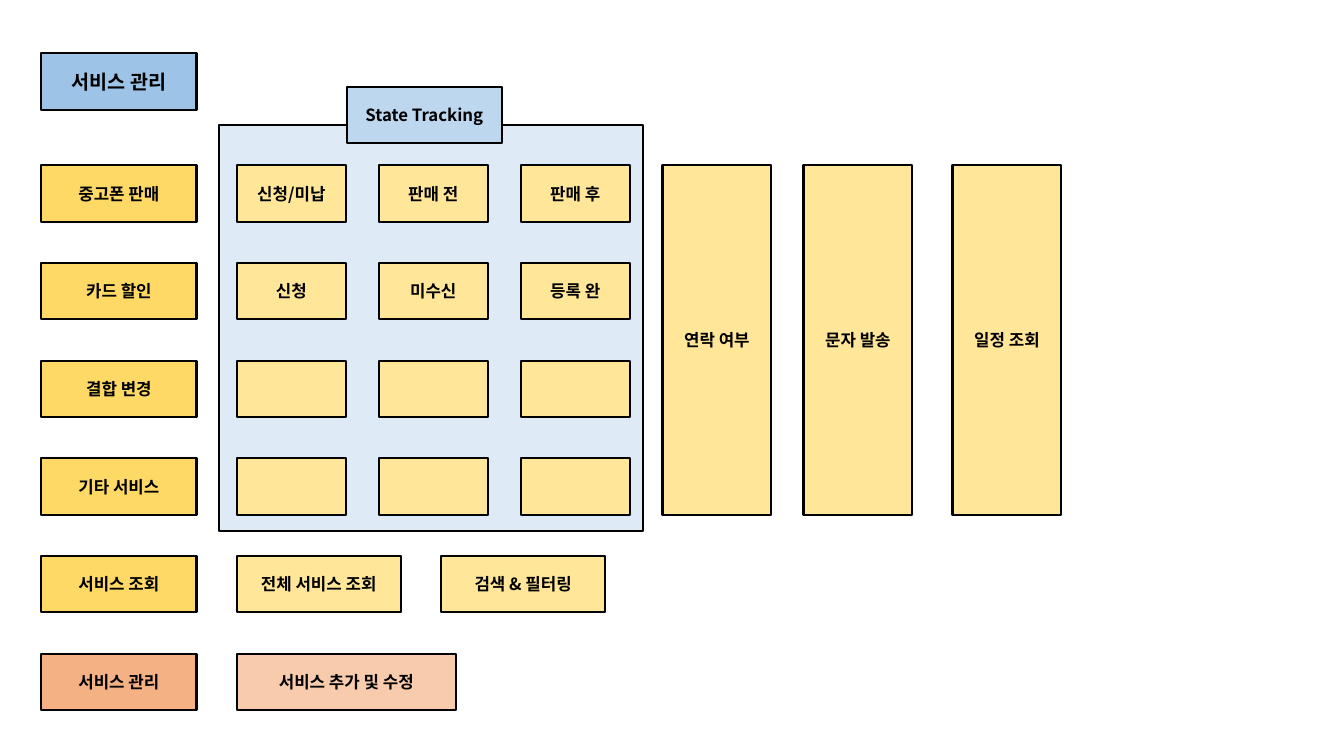
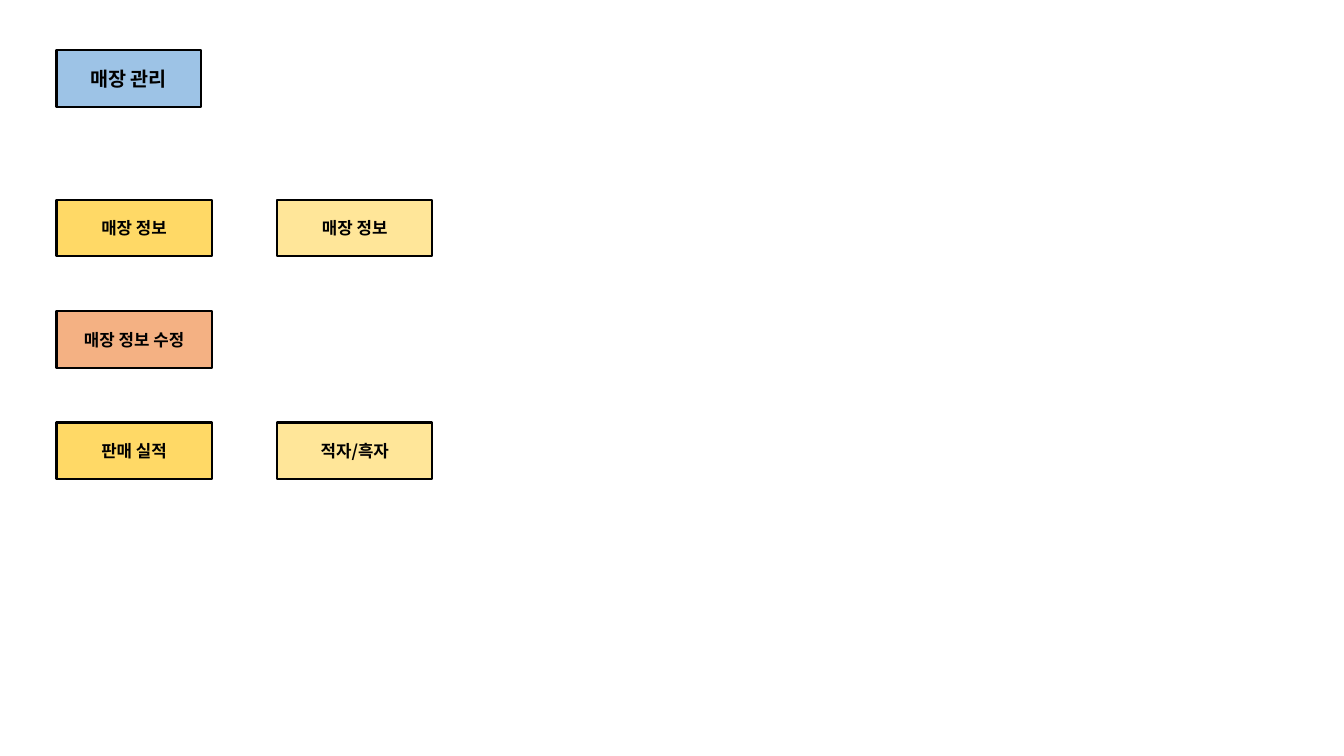
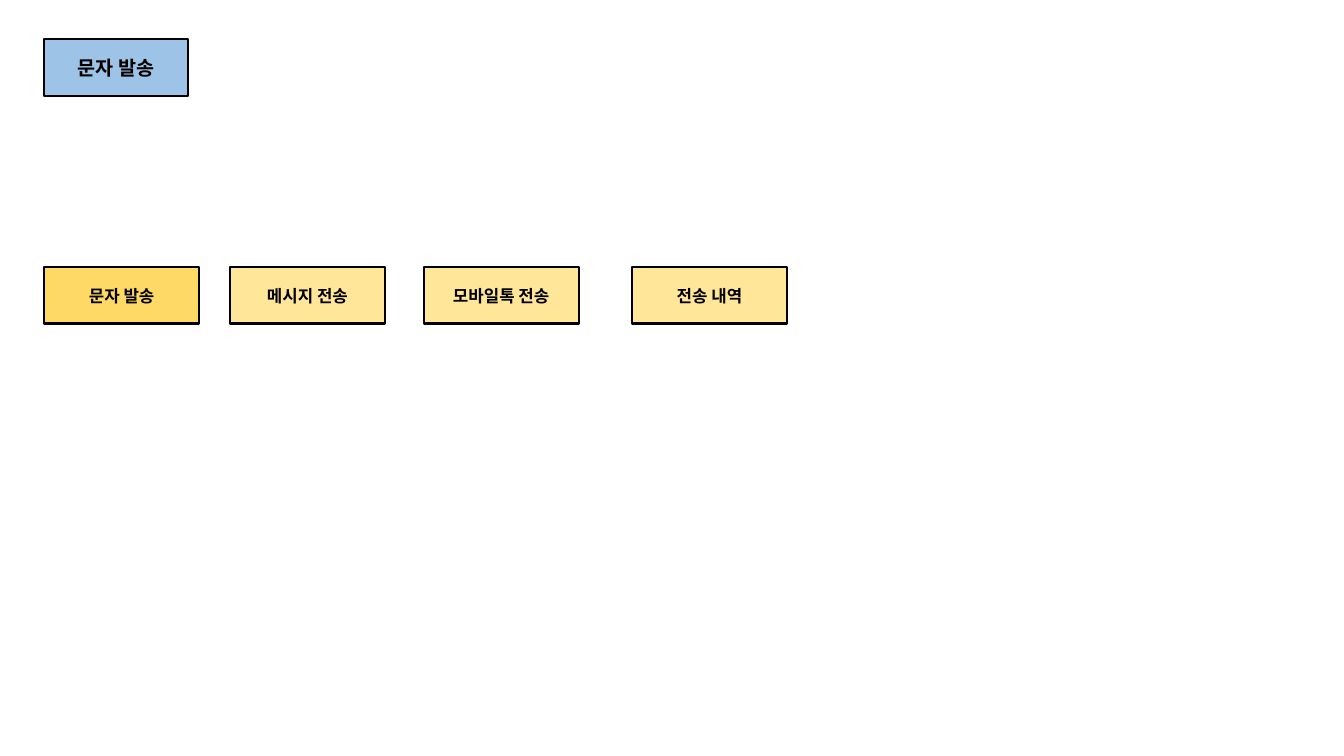
from pptx import Presentation
from pptx.dml.color import RGBColor
from pptx.enum.shapes import MSO_SHAPE as Shape
from pptx.enum.text import MSO_ANCHOR as Anchor, PP_ALIGN as Align
from pptx.oxml.ns import qn
from pptx.util import Pt
from lxml.etree import SubElement

FONT = "Noto Sans CJK KR"
BLACK = RGBColor(0x00, 0x00, 0x00)
TITLE_BLUE = RGBColor(0x9D, 0xC3, 0xE6)
LABEL_BLUE = RGBColor(0xBD, 0xD7, 0xEE)
PANEL_BLUE = RGBColor(0xDE, 0xEB, 0xF7)
MENU_YELLOW = RGBColor(0xFF, 0xD9, 0x66)
ITEM_YELLOW = RGBColor(0xFF, 0xE6, 0x99)
MENU_ORANGE = RGBColor(0xF4, 0xB1, 0x83)
ITEM_ORANGE = RGBColor(0xF8, 0xCB, 0xAD)

BOX_WIDTH = 110.9
BOX_HEIGHT = 40.3
TITLE_WIDTH = 103

deck = Presentation()
deck.slide_width = Pt(960)
deck.slide_height = Pt(540)
blank = deck.slide_layouts[6]


def add_box(page, text, left, top, fill, width=BOX_WIDTH, height=BOX_HEIGHT, size=12):
    box = page.shapes.add_shape(Shape.RECTANGLE, Pt(left), Pt(top), Pt(width), Pt(height))
    box.shadow.inherit = False
    box.fill.solid()
    box.fill.fore_color.rgb = fill
    box.line.color.rgb = BLACK
    box.line.width = Pt(1.5)
    if text:
        box.text_frame.text = text
        box.text_frame.word_wrap = True
        box.text_frame.vertical_anchor = Anchor.MIDDLE
        para = box.text_frame.paragraphs[0]
        para.alignment = Align.CENTER
        span = para.runs[0]
        span.font.name = FONT
        span.font.size = Pt(size)
        span.font.bold = True
        span.font.color.rgb = BLACK
        SubElement(span.font._element, qn("a:ea")).set("typeface", FONT)


page = deck.slides.add_slide(blank)
menu_left, item_left = 29.5, 169.2
first_row, row_step = 118, 69.8
state_width, state_step = 77.8, 101.4

add_box(page, "", 156.2, 89.4, PANEL_BLUE, 303.1, 290.2)
add_box(page, "서비스 관리", menu_left, 38, TITLE_BLUE, size=14)
add_box(page, "State Tracking", 247.7, 61.9, LABEL_BLUE)

menus = ["중고폰 판매", "카드 할인", "결합 변경", "기타 서비스", "서비스 조회", "서비스 관리"]
for row, text in enumerate(menus):
    fill = MENU_ORANGE if row == 5 else MENU_YELLOW
    add_box(page, text, menu_left, first_row + row * row_step, fill)

states = [["신청/미납", "판매 전", "판매 후"], ["신청", "미수신", "등록 완"], [""] * 3, [""] * 3]
for row, texts in enumerate(states):
    for column, text in enumerate(texts):
        add_box(page, text, item_left + column * state_step, first_row + row * row_step,
                ITEM_YELLOW, state_width)

tall_height = 3 * row_step + BOX_HEIGHT
for text, left in [("연락 여부", 473.2), ("문자 발송", 573.9), ("일정 조회", 680.4)]:
    add_box(page, text, left, first_row, ITEM_YELLOW, state_width, tall_height)

for text, left in [("전체 서비스 조회", item_left), ("검색 & 필터링", 315.2)]:
    add_box(page, text, left, first_row + 4 * row_step, ITEM_YELLOW, 117)
add_box(page, "서비스 추가 및 수정", item_left, first_row + 5 * row_step, ITEM_ORANGE, 156.4)

page = deck.slides.add_slide(blank)
menu_left, item_left = 40.4, 198
first_row, row_step = 142.8, 79.5

add_box(page, "매장 관리", menu_left, 36, TITLE_BLUE, TITLE_WIDTH, size=14)
store_rows = [
    ("매장 정보", MENU_YELLOW, "매장 정보"),
    ("매장 정보 수정", MENU_ORANGE, None),
    ("판매 실적", MENU_YELLOW, "적자/흑자"),
]
for row, (menu, fill, item) in enumerate(store_rows):
    top = first_row + row * row_step
    add_box(page, menu, menu_left, top, fill)
    if item:
        add_box(page, item, item_left, top, ITEM_YELLOW)

page = deck.slides.add_slide(blank)
menu_left, message_top = 31.5, 190.8

add_box(page, "문자 발송", menu_left, 28, TITLE_BLUE, TITLE_WIDTH, size=14)
add_box(page, "문자 발송", menu_left, message_top, MENU_YELLOW)
for text, left in [("메시지 전송", 164.2), ("모바일톡 전송", 302.6), ("전송 내역", 451.4)]:
    add_box(page, text, left, message_top, ITEM_YELLOW)

deck.save("out.pptx")
